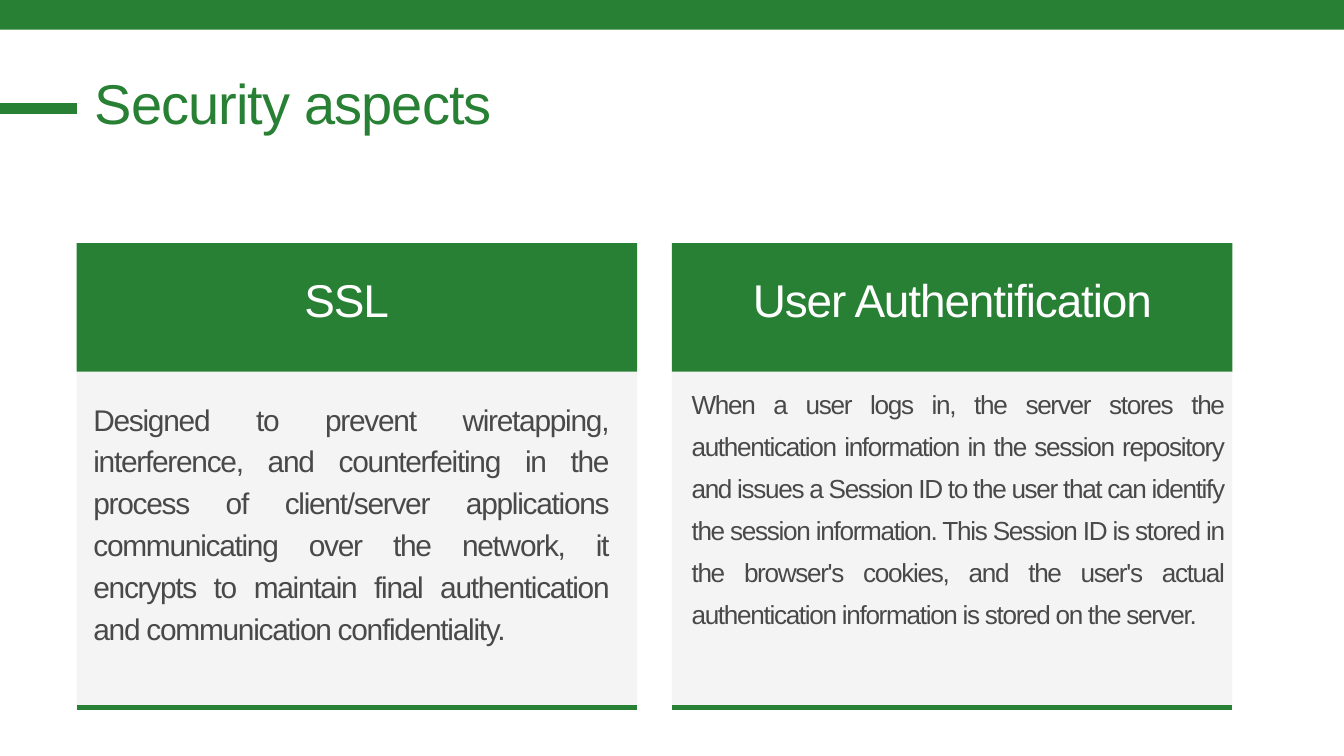
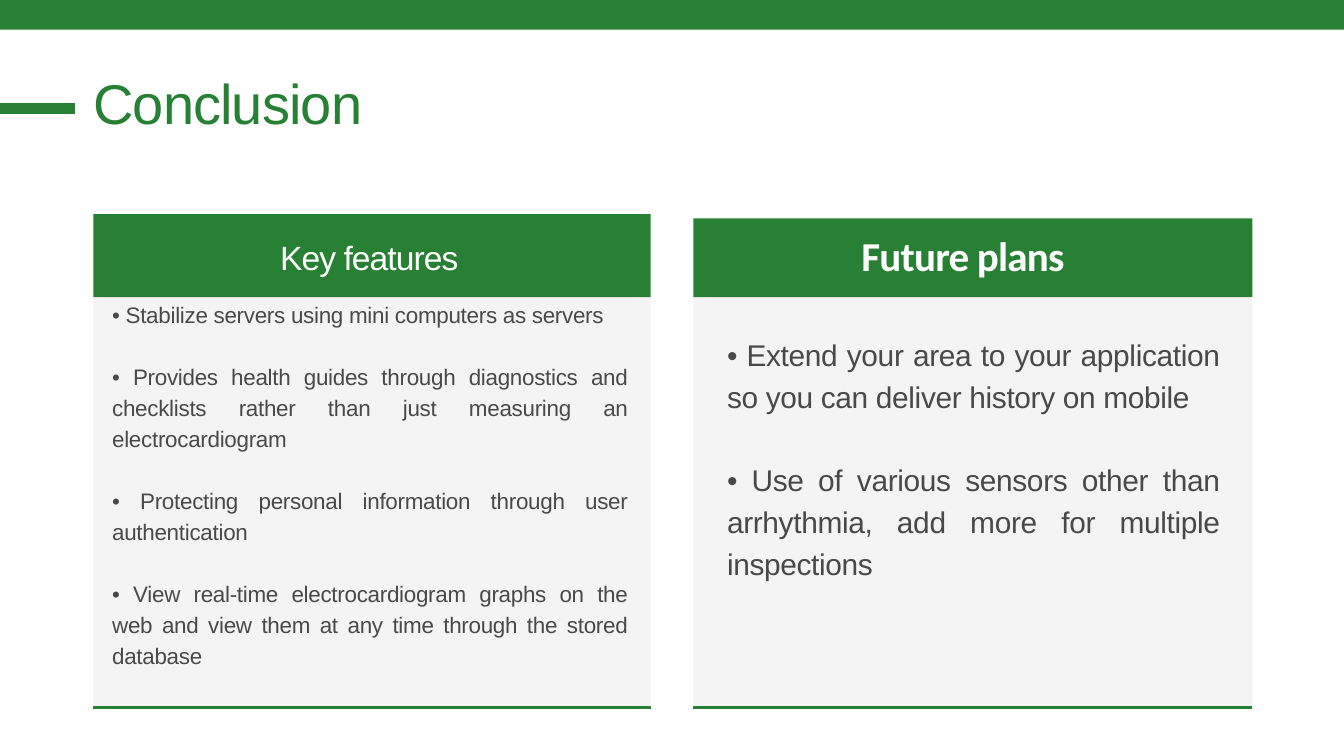
from collections import namedtuple

from lxml import etree
from pptx import Presentation
from pptx.dml.color import RGBColor
from pptx.enum import shapes, text
from pptx.oxml import ns
from pptx.util import Cm, Pt

# Shared look
GREEN, GRAY, INK, WHITE = "278033", "F4F4F4", "494949", "FFFFFF"
CARD_BOTTOM = 26.75
LEFT, CENTER, JUSTIFY = (text.PP_ALIGN.LEFT, text.PP_ALIGN.CENTER,
                         text.PP_ALIGN.JUSTIFY)

# Size, line height and letter spacing in points
Style = namedtuple("Style", "size leading tracking color align font bold",
                   defaults=("Arial", False))
TITLE = Style(60, 66, -1, GREEN, LEFT)
SECURITY_HEADING = Style(49.2, 61.5, -1.2, WHITE, CENTER)
FEATURES_HEADING = Style(36, 46.1, -1, WHITE, CENTER)
PLANS_HEADING = Style(44, 45, -0.9, WHITE, CENTER, "Calibri", True)
SSL_BODY = Style(32, 44.9, -1.4, INK, JUSTIFY)
LOGIN_BODY = SSL_BODY._replace(size=28)
FEATURES_BODY = Style(24, 33.2, -0.3, INK, JUSTIFY)
PLANS_BODY = Style(32, 44.8, -0.4, INK, JUSTIFY)


def rgb(color):
    return RGBColor.from_string(color)


def add_block(slide, left, top, width, height, color):
    shape = slide.shapes.add_shape(shapes.MSO_SHAPE.RECTANGLE, Cm(left),
                                   Cm(top), Cm(width), Cm(height))
    shape.shadow.inherit = False
    shape.fill.solid()
    shape.fill.fore_color.rgb = rgb(color)
    shape.line.fill.background()


def add_rule(slide, left, right, y, weight):
    rule = slide.shapes.add_connector(shapes.MSO_CONNECTOR.STRAIGHT, Cm(left),
                                      Cm(y), Cm(right), Cm(y))
    rule.line.color.rgb = rgb(GREEN)
    rule.line.width = Pt(weight)
    etree.SubElement(rule._element.spPr, ns.qn("a:effectLst"))


def add_text(slide, box, style, *lines):
    """Write one paragraph per line, set one line height apart."""
    frame = slide.shapes.add_textbox(*map(Cm, box)).text_frame
    frame.word_wrap = True
    frame.margin_left = frame.margin_right = 0
    frame.margin_top = frame.margin_bottom = 0
    for index, line in enumerate(lines):
        paragraph = frame.add_paragraph() if index else frame.paragraphs[0]
        paragraph.alignment = style.align
        paragraph.line_spacing = Pt(style.leading)
        if index:
            paragraph.space_before = Pt(style.leading)
        paragraph.font.name = style.font
        paragraph.font.size = Pt(style.size)
        paragraph.font.bold = style.bold
        paragraph.font.color.rgb = rgb(style.color)
        run = paragraph.add_run()
        run.text = line
        run._r.get_or_add_rPr().set("spc", str(round(style.tracking * 100)))


def add_page(presentation, title, dash_end, title_left):
    slide = presentation.slides.add_slide(presentation.slide_layouts[6])
    add_block(slide, -0.25, -0.33, 51.38, 1.45, GREEN)
    add_rule(slide, dash_end - 3.7, dash_end, 4.11, 11.25)
    add_text(slide, (title_left, 2.82, 30.5, 2.36), TITLE, title)
    return slide


def add_card(slide, left, width, header_top, body_top, rule_weight):
    add_block(slide, left, body_top, width, CARD_BOTTOM - body_top, GRAY)
    add_block(slide, left, header_top, width, body_top - header_top, GREEN)
    add_rule(slide, left, left + width, CARD_BOTTOM, rule_weight)


def build_security(presentation):
    slide = add_page(presentation, "Security aspects", 2.9, 3.58)
    for left in (2.9, 25.4):
        add_card(slide, left, 21.18, 9.19, 14.05, 6)
    add_text(slide, (3.68, 10.19, 18.85, 2.2), SECURITY_HEADING, "SSL")
    add_text(slide, (26.57, 10.19, 18.85, 2.2), SECURITY_HEADING,
             "User Authentification")
    add_text(slide, (3.53, 14.94, 19.46, 9.45), SSL_BODY,
             "Designed to prevent wiretapping, interference, and "
             "counterfeiting in the process of client/server applications "
             "communicating over the network, it encrypts to maintain final "
             "authentication and communication confidentiality.")
    add_text(slide, (26.14, 14.3, 20.12, 11.02), LOGIN_BODY,
             "When a user logs in, the server stores the authentication "
             "information in the session repository and issues a Session ID "
             "to the user that can identify the session information. This "
             "Session ID is stored in the browser's cookies, and the user's "
             "actual authentication information is stored on the server.")


def build_conclusion(presentation):
    slide = add_page(presentation, "Conclusion", 2.84, 3.53)
    add_card(slide, 3.53, 21.06, 8.1, 11.23, 3)
    add_card(slide, 26.21, 21.13, 8.26, 11.23, 3)
    add_text(slide, (3.43, 8.84, 21.06, 1.63), FEATURES_HEADING,
             "Key features")
    add_text(slide, (25.83, 8.97, 21.13, 1.63), PLANS_HEADING, "Future plans")
    add_text(slide, (4.24, 11.23, 19.48, 15.09), FEATURES_BODY,
             "• Stabilize servers using mini computers as servers",
             "• Provides health guides through diagnostics and checklists "
             "rather than just measuring an electrocardiogram",
             "• Protecting personal information through user authentication",
             "• View real-time electrocardiogram graphs on the web and view "
             "them at any time through the stored database")
    add_text(slide, (27.48, 12.5, 18.62, 12.57), PLANS_BODY,
             "• Extend your area to your application so you can deliver "
             "history on mobile",
             "• Use of various sensors other than arrhythmia, add more for "
             "multiple inspections")


def main():
    presentation = Presentation()
    presentation.slide_width = Cm(50.8)
    presentation.slide_height = Cm(28.58)
    build_security(presentation)
    build_conclusion(presentation)
    presentation.save("out.pptx")


if __name__ == "__main__":
    main()
